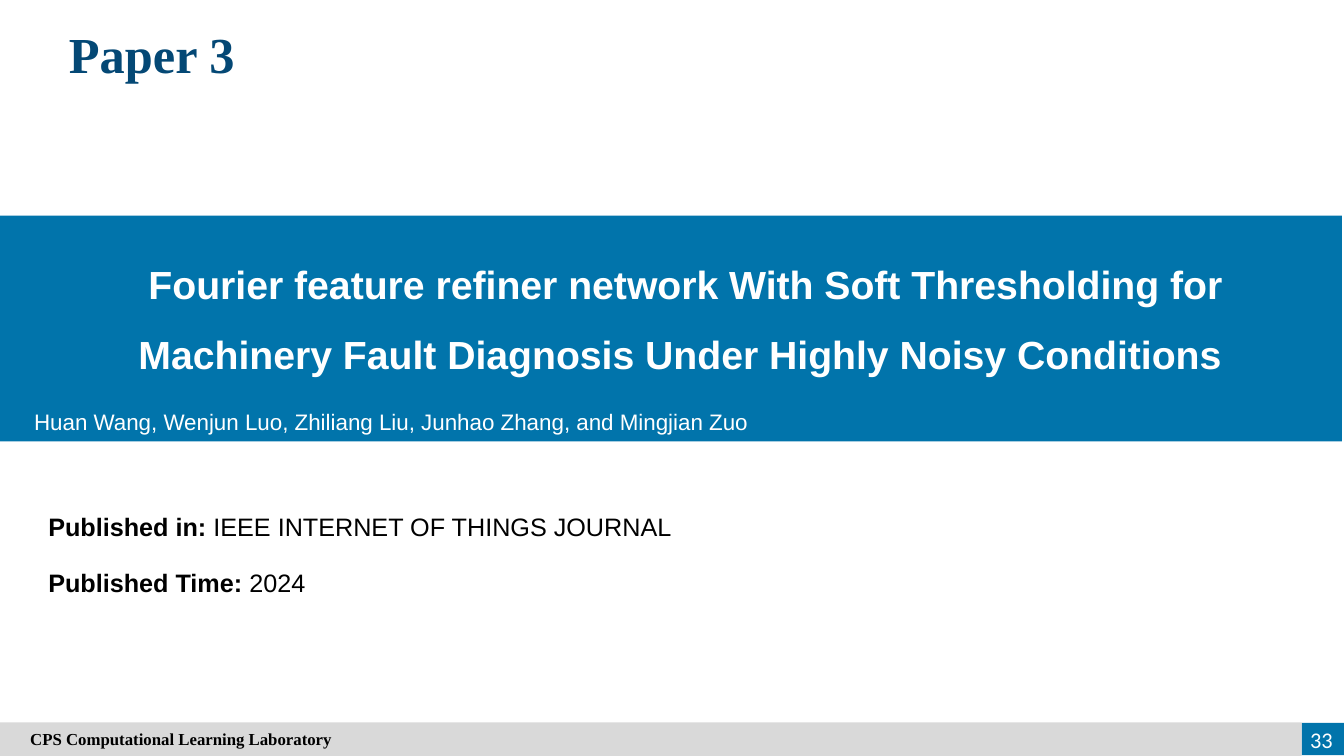
from pptx import Presentation
from pptx.dml.color import RGBColor
from pptx.enum.shapes import MSO_SHAPE as Kind
from pptx.enum.text import MSO_ANCHOR as Anchor, PP_ALIGN as Align
from pptx.util import Pt

BLUE, NAVY, GREY = "0174AB", "044875", "D9D9D9"
WHITE, BLACK = "FFFFFF", "000000"
SANS, SERIF = "Arial", "Times New Roman"


def tint(code):
    return RGBColor.from_string(code)


class Page:
    """Draws styled bars and text on one slide."""

    def __init__(self, deck):
        self.slide = deck.slides.add_slide(deck.slide_layouts[6])

    def bar(self, x, y, w, h, fill):
        bar = self.slide.shapes.add_shape(Kind.RECTANGLE, Pt(x), Pt(y), Pt(w), Pt(h))
        bar.shadow.inherit = False
        bar.fill.solid()
        bar.fill.fore_color.rgb = tint(fill)
        bar.line.fill.background()
        return bar

    def box(self, x, y, w, h):
        return self.slide.shapes.add_textbox(Pt(x), Pt(y), Pt(w), Pt(h))

    def label(self, shape, text, size, color, face=SANS, bold=False,
              align=Align.LEFT, anchor=Anchor.TOP, space=1.0):
        frame = shape.text_frame
        frame.word_wrap = True
        frame.vertical_anchor = anchor
        para = frame.paragraphs[0]
        para.alignment = align
        para.line_spacing = space
        para.add_run().text = text
        font = para.font
        font.name, font.size, font.bold = face, Pt(size), bold
        font.color.rgb = tint(color)
        return frame

    def fact(self, y, name, value):
        frame = self.label(self.box(27.4, y, 720, 29), name, 18, BLACK)
        para = frame.paragraphs[0]
        para.runs[0].font.bold = True
        para.add_run().text = value


def main():
    deck = Presentation()
    deck.slide_width, deck.slide_height = Pt(960), Pt(540)
    page = Page(deck)

    page.bar(0, 154, 958.5, 161.3, BLUE)
    page.label(page.box(58.3, 167.8, 862.6, 103),
               "Fourier feature refiner network With Soft Thresholding for "
               "Machinery Fault Diagnosis Under Highly Noisy Conditions ",
               28, WHITE, bold=True, align=Align.CENTER,
               anchor=Anchor.MIDDLE, space=1.5)
    page.label(page.box(17.3, 288, 930, 26.6),
               "Huan Wang, Wenjun Luo, Zhiliang Liu, Junhao Zhang, and Mingjian Zuo",
               16, WHITE)
    page.label(page.box(27.4, 13, 162, 51), "Paper 3", 36, NAVY, SERIF,
               bold=True, align=Align.CENTER)

    page.bar(929.8, 516.3, 30.2, 23.2, BLUE)
    foot = page.bar(0, 516, 929.8, 24, GREY)
    frame = page.label(foot, "CPS Computational Learning Laboratory", 12, BLACK,
                       SERIF, bold=True, anchor=Anchor.MIDDLE)
    frame.margin_left = Pt(21.6)
    page.label(page.box(913.7, 513.6, 45.4, 28.8), "33", 16, WHITE, "Calibri",
               align=Align.RIGHT, anchor=Anchor.MIDDLE)

    page.fact(362, "Published in:", " IEEE INTERNET OF THINGS JOURNAL")
    page.fact(402, "Published Time:", " 2024")
    deck.save("out.pptx")


if __name__ == "__main__":
    main()
